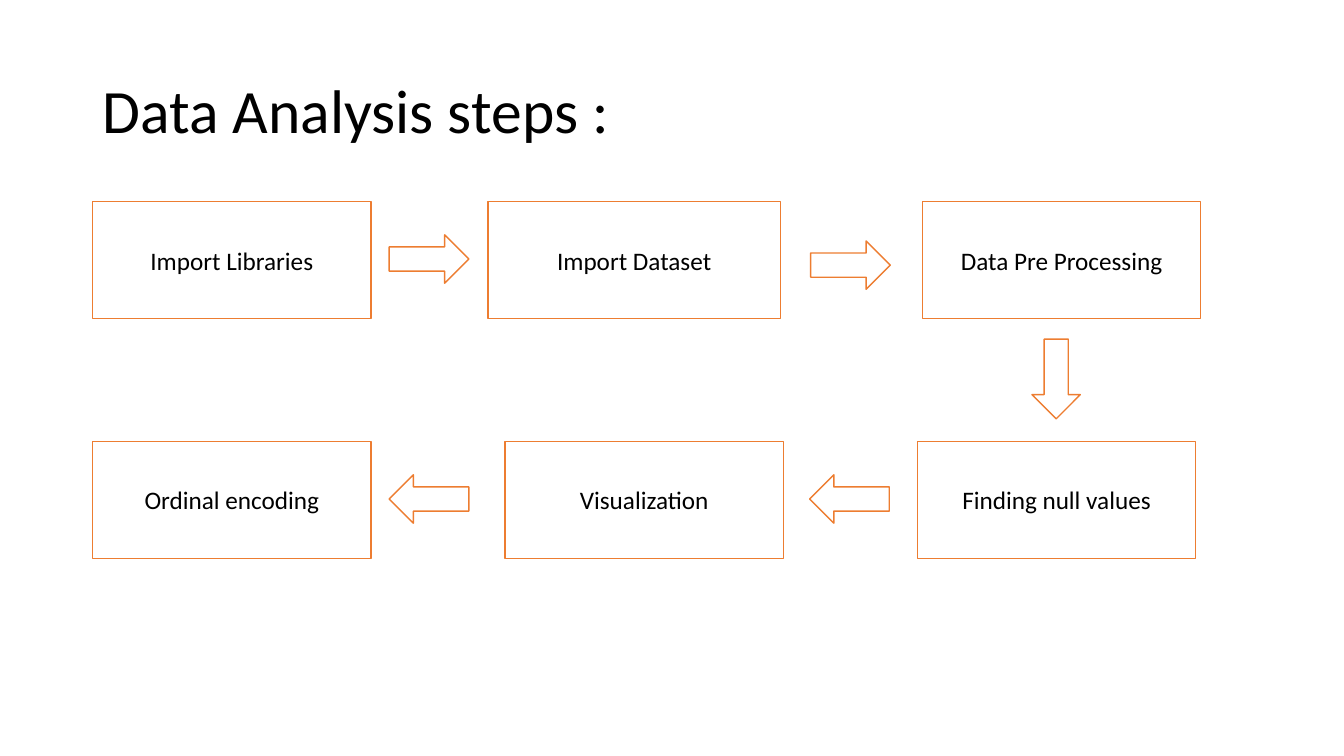
from pptx import Presentation
from pptx.dml.color import RGBColor
from pptx.enum.shapes import MSO_SHAPE
from pptx.enum.text import MSO_ANCHOR, PP_ALIGN
from pptx.util import Inches, Pt

RECT = MSO_SHAPE.RECTANGLE
ARROW = MSO_SHAPE.RIGHT_ARROW
MIDDLE = MSO_ANCHOR.MIDDLE
LEFT = PP_ALIGN.LEFT
CENTER = PP_ALIGN.CENTER

BLACK = RGBColor(0x00, 0x00, 0x00)
WHITE = RGBColor(0xFF, 0xFF, 0xFF)
ORANGE = RGBColor(0xED, 0x7D, 0x31)
FONT = "Calibri"

TOP, LOW = 2, 4.38
BOX_W, BOX_H = 2.76, 1.16
ARROW_W, ARROW_H = 0.79, 0.48

# Label, left, top, width
STEPS = [
    ("Import Libraries", 0.92, TOP, BOX_W),
    ("Import Dataset", 4.84, TOP, 2.9),
    ("Data Pre Processing", 9.15, TOP, BOX_W),
    ("Finding null values", 9.1, LOW, BOX_W),
    ("Visualization", 5.01, LOW, BOX_W),
    ("Ordinal encoding", 0.92, LOW, BOX_W),
]

# Left, top, rotation in degrees
ARROWS = [
    (3.86, 2.33, 0),
    (8.04, 2.39, 0),
    (10.08, 3.52, 90),
    (8.03, 4.71, 180),
    (3.86, 4.71, 180),
]


def add_text(shape, text, size, align):
    frame = shape.text_frame
    frame.word_wrap = True
    frame.vertical_anchor = MIDDLE
    para = frame.paragraphs[0]
    para.alignment = align
    run = para.add_run()
    run.text = text
    run.font.name = FONT
    run.font.size = Pt(size)
    run.font.color.rgb = BLACK
    return para


def add_title(slide, text):
    box = slide.shapes.add_textbox(
        Inches(0.92), Inches(0.4), Inches(11.5), Inches(1.45))
    add_text(box, text, 44, LEFT).line_spacing = 0.9


def add_shape(slide, kind, left, top, width, height):
    """Add a white shape with a thin orange outline."""
    shape = slide.shapes.add_shape(
        kind, Inches(left), Inches(top), Inches(width), Inches(height))
    shape.shadow.inherit = False
    shape.fill.solid()
    shape.fill.fore_color.rgb = WHITE
    shape.line.color.rgb = ORANGE
    shape.line.width = Pt(1)
    return shape


def add_step(slide, label, left, top, width):
    box = add_shape(slide, RECT, left, top, width, BOX_H)
    add_text(box, label, 18, CENTER)


def add_arrow(slide, left, top, angle):
    arrow = add_shape(slide, ARROW, left, top, ARROW_W, ARROW_H)
    arrow.rotation = angle


def main():
    prs = Presentation()
    prs.slide_width = Inches(13.33)
    prs.slide_height = Inches(7.5)
    slide = prs.slides.add_slide(prs.slide_layouts[6])
    add_title(slide, "Data Analysis steps :")
    for step in STEPS:
        add_step(slide, *step)
    for arrow in ARROWS:
        add_arrow(slide, *arrow)
    prs.save("out.pptx")


if __name__ == "__main__":
    main()
